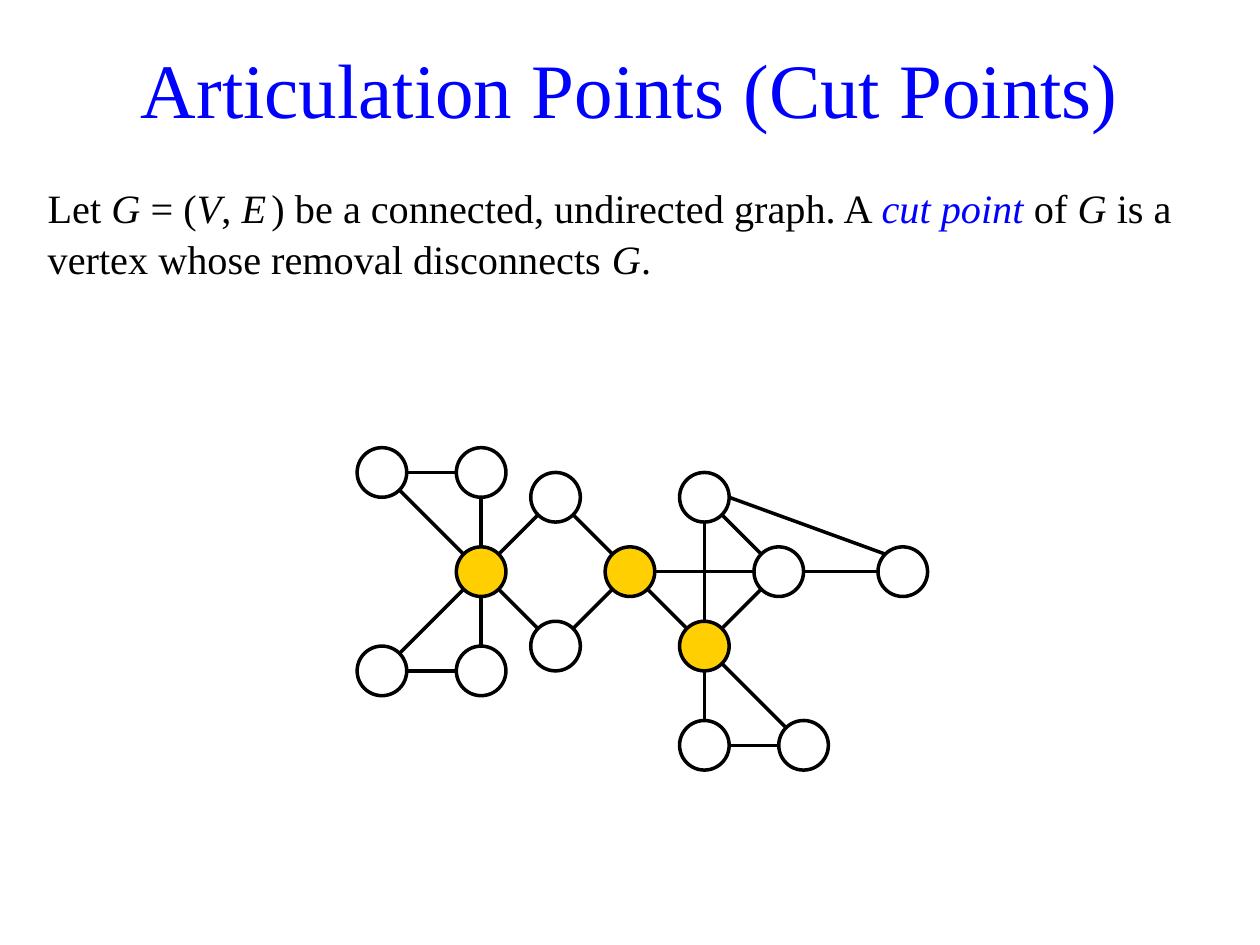
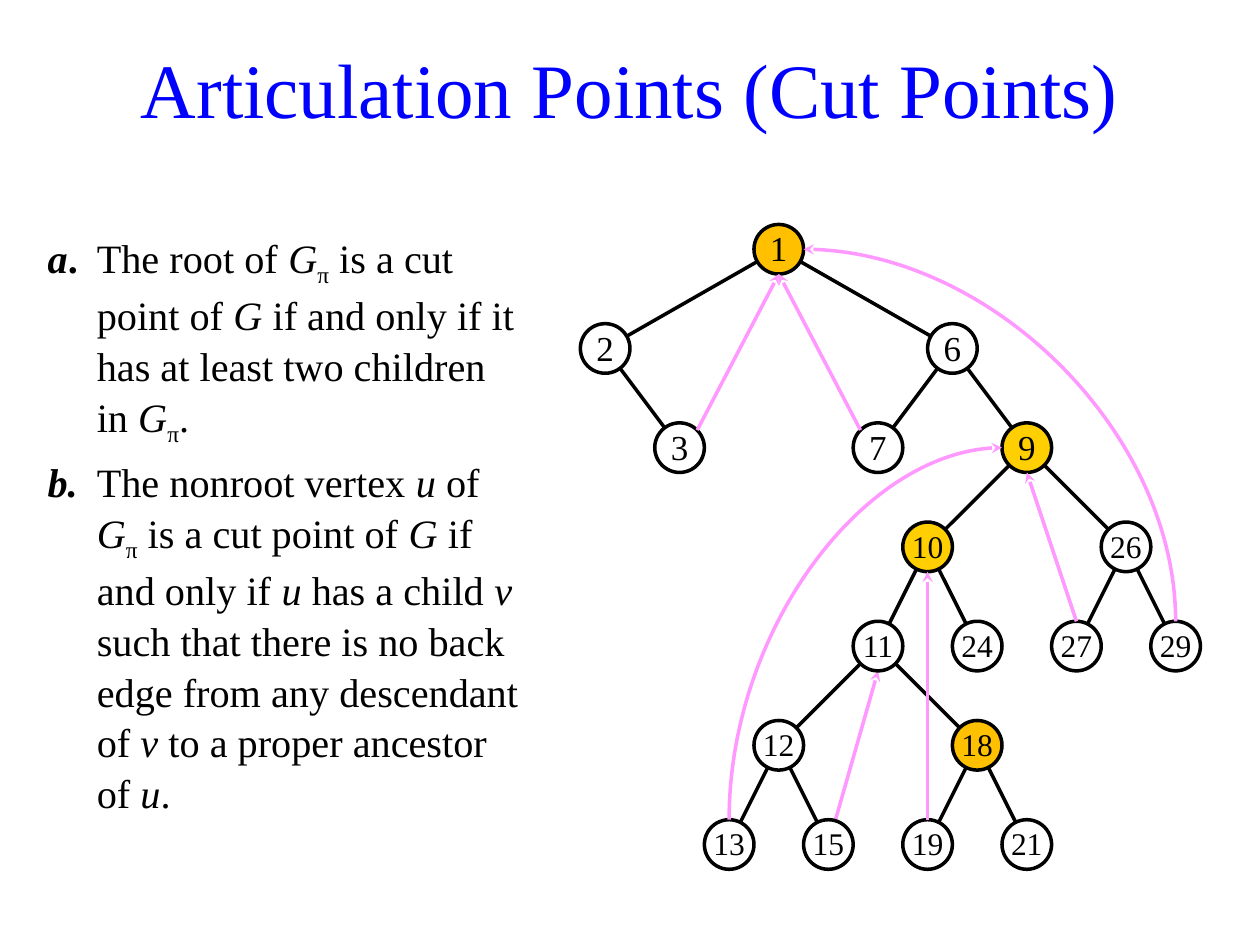
from math import hypot

from lxml import etree
from pptx import Presentation
from pptx.dml.color import RGBColor
from pptx.enum.shapes import MSO_CONNECTOR, MSO_SHAPE
from pptx.enum.text import MSO_ANCHOR, PP_ALIGN
from pptx.oxml.ns import qn
from pptx.util import Inches, Pt

STRAIGHT = MSO_CONNECTOR.STRAIGHT
OVAL = MSO_SHAPE.OVAL
MIDDLE = MSO_ANCHOR.MIDDLE
CENTER = PP_ALIGN.CENTER

FONT = "Times New Roman"
BLACK, WHITE, BLUE = "000000", "FFFFFF", "0000FF"
YELLOW, AMBER, PINK = "FFCF01", "FFC000", "FF99FF"
rgb = RGBColor.from_string

# Graph coordinates count node radii from the slide centre.
RADIUS = 1 / 5.08
DIAG = 0.71


def connect(slide, p, q, color=BLACK, curved=False):
    """Join two grid points; pink back edges point at p."""
    ends = [Inches(c + v * RADIUS) for v, c in zip(p + q, (5, 3.75) * 2)]
    line = slide.shapes.add_connector(STRAIGHT, *ends)
    line.line.color.rgb = rgb(color)
    line.line.width = Pt(2)
    props = line._element.spPr
    if color == PINK:
        etree.SubElement(props.find(qn("a:ln")), qn("a:headEnd"), type="stealth")
    if curved:
        props.find(qn("a:prstGeom")).set("prst", "curvedConnector2")
    etree.SubElement(props, qn("a:effectLst"))


def add_node(slide, center, fill, label=""):
    x, y = center
    sp = slide.shapes.add_shape(
        OVAL, Inches(5 + (x - 1) * RADIUS), Inches(3.75 + (y - 1) * RADIUS),
        Inches(2 * RADIUS), Inches(2 * RADIUS))
    sp.shadow.inherit = False
    sp.fill.solid()
    sp.fill.fore_color.rgb = rgb(fill)
    sp.line.color.rgb = rgb(BLACK)
    sp.line.width = Pt(2)
    if label:
        tf = sp.text_frame
        tf.word_wrap = False
        tf.vertical_anchor = MIDDLE
        tf.margin_top, tf.margin_bottom = Inches(0.04), Inches(0.06)
        p = tf.paragraphs[0]
        p.text = label
        p.alignment = CENTER
        p.font.name = FONT
        p.font.size = Pt(20 if len(label) == 1 else 18)
        p.font.color.rgb = rgb(BLACK)


# Run styles: b bold, i italic, s subscript, c blue, w widely spaced
definition = [
    [("Let ", ""), ("G ", "i"), ("= (", ""), ("V", "i"), (", ", ""), ("E", "iw"),
     (") be a connected, undirected graph. A ", ""), ("cut point", "ic"),
     (" of ", ""), ("G", "i"), (" is a vertex whose removal disconnects ", ""),
     ("G", "i"), (".", "")],
]
G_PI = [("G", "i"), ("π", "s")]
theorem = [
    [("a", "bi"), (".", "b"), ("\tThe root of ", ""), *G_PI,
     (" is a cut point of ", ""), ("G", "i"),
     (" if and only if it has at least two children in ", ""), *G_PI, (".", "")],
    [("b.", "bi"), ("\tThe nonroot vertex ", ""), ("u", "i"), (" of ", ""), *G_PI,
     (" is a cut point of ", ""), ("G", "i"), (" if and only if ", ""), ("u", "i"),
     (" has a child ", ""), ("v", "i"),
     (" such that there is no back edge from any descendant of ", ""), ("v", "i"),
     (" to a proper ancestor of ", ""), ("u", "i"), (".", "")],
]

prs = Presentation()
prs.slide_width, prs.slide_height = Inches(10), Inches(7.5)

# Titles and body text
slides = []
for body, box, hanging in [
    (definition, (0.28, 1.39, 9.45, 0.98), 0),
    (theorem, (0.28, 1.78, 3.94, 4.53), 0.39),
]:
    slide = prs.slides.add_slide(prs.slide_layouts[5])
    slides.append(slide)
    title = slide.shapes.title
    title.left, title.top = Inches(0.47), Inches(0.21)
    title.width, title.height = Inches(9.06), Inches(0.98)
    title.text_frame.vertical_anchor = MIDDLE
    p = title.text_frame.paragraphs[0]
    p.text = "Articulation Points (Cut Points)"
    p.alignment = CENTER
    p.font.name, p.font.size = FONT, Pt(44)
    p.font.color.rgb = rgb(BLUE)

    tf = slide.shapes.add_textbox(*map(Inches, box)).text_frame
    tf.word_wrap = True
    for i, runs in enumerate(body):
        p = tf.add_paragraph() if i else tf.paragraphs[0]
        p.line_spacing = 1.05
        if i:
            p.space_before = Pt(4.6)
        if hanging:
            pPr = p._p.get_or_add_pPr()
            pPr.set("marL", str(Inches(hanging)))
            pPr.set("indent", str(-Inches(hanging)))
        for text, style in runs:
            r = p.add_run()
            r.text = text
            r.font.name, r.font.size = FONT, Pt(23)
            r.font.bold, r.font.italic = "b" in style, "i" in style
            r.font.color.rgb = rgb(BLUE if "c" in style else BLACK)
            if "s" in style:
                r.font._element.set("baseline", "-25000")
            if "w" in style:
                r.font._element.set("spc", "300")
graph_slide, tree_slide = slides

# Undirected graph with its cut points c, f and i
vertices = {
    "a": (-10, 0), "b": (-6, 0), "c": (-6, 4), "d": (-3, 1), "e": (-3, 7),
    "f": (0, 4), "g": (3, 1), "h": (6, 4), "i": (3, 7), "j": (11, 4),
    "k": (3, 11), "l": (7, 11), "m": (-10, 8), "n": (-6, 8),
}
for start, end in "ab ac bc cd ce cm cn mn df ef fh fi gh gi hi hj ik il kl".split():
    (x1, y1), (x2, y2) = vertices[start], vertices[end]
    length = hypot(x2 - x1, y2 - y1)
    dx, dy = (x2 - x1) / length, (y2 - y1) / length
    connect(graph_slide, (x1 + dx, y1 + dy), (x2 - dx, y2 - dy))
connect(graph_slide, (4, 1), (11 - DIAG, 4 - DIAG))
for name, center in vertices.items():
    add_node(graph_slide, center, YELLOW if name in "cfi" else WHITE)

# Depth-first tree, numbered by discovery time
tree = {
    1: (6, -9), 2: (-1, -5), 3: (2, -1), 6: (13, -5), 7: (10, -1), 9: (16, -1),
    10: (12, 3), 26: (20, 3), 11: (10, 7), 24: (14, 7), 27: (18, 7), 29: (22, 7),
    12: (6, 11), 18: (14, 11), 13: (4, 15), 15: (8, 15), 19: (12, 15), 21: (16, 15),
}
children = {1: (2, 6), 2: (3,), 6: (7, 9), 9: (10, 26), 10: (11, 24),
            26: (27, 29), 11: (12, 18), 12: (13, 15), 18: (19, 21)}
cut_fills = {1: AMBER, 9: YELLOW, 10: YELLOW, 18: AMBER}

connect(tree_slide, (10, 8), tree[15], PINK)
for parent, kids in children.items():
    for kid in kids:
        connect(tree_slide, tree[parent], tree[kid])
for number, center in tree.items():
    add_node(tree_slide, center, cut_fills.get(number, WHITE), str(number))

# Back edges: ancestor and descendant, each with the offset of its end
for anc, (ax, ay), desc, (bx, by) in [
    (1, (1, 0), 29, (0, -1)),
    (1, (0, 1), 3, (DIAG, -DIAG)),
    (1, (0, 1), 7, (-DIAG, -DIAG)),
    (9, (0, 1), 27, (0, -1)),
    (10, (0, 1), 19, (0, -1)),
    (9, (-1, 0), 13, (0, -1)),
]:
    (x1, y1), (x2, y2) = tree[anc], tree[desc]
    connect(tree_slide, (x1 + ax, y1 + ay), (x2 + bx, y2 + by), PINK, curved=ay == 0)

prs.save("out.pptx")
